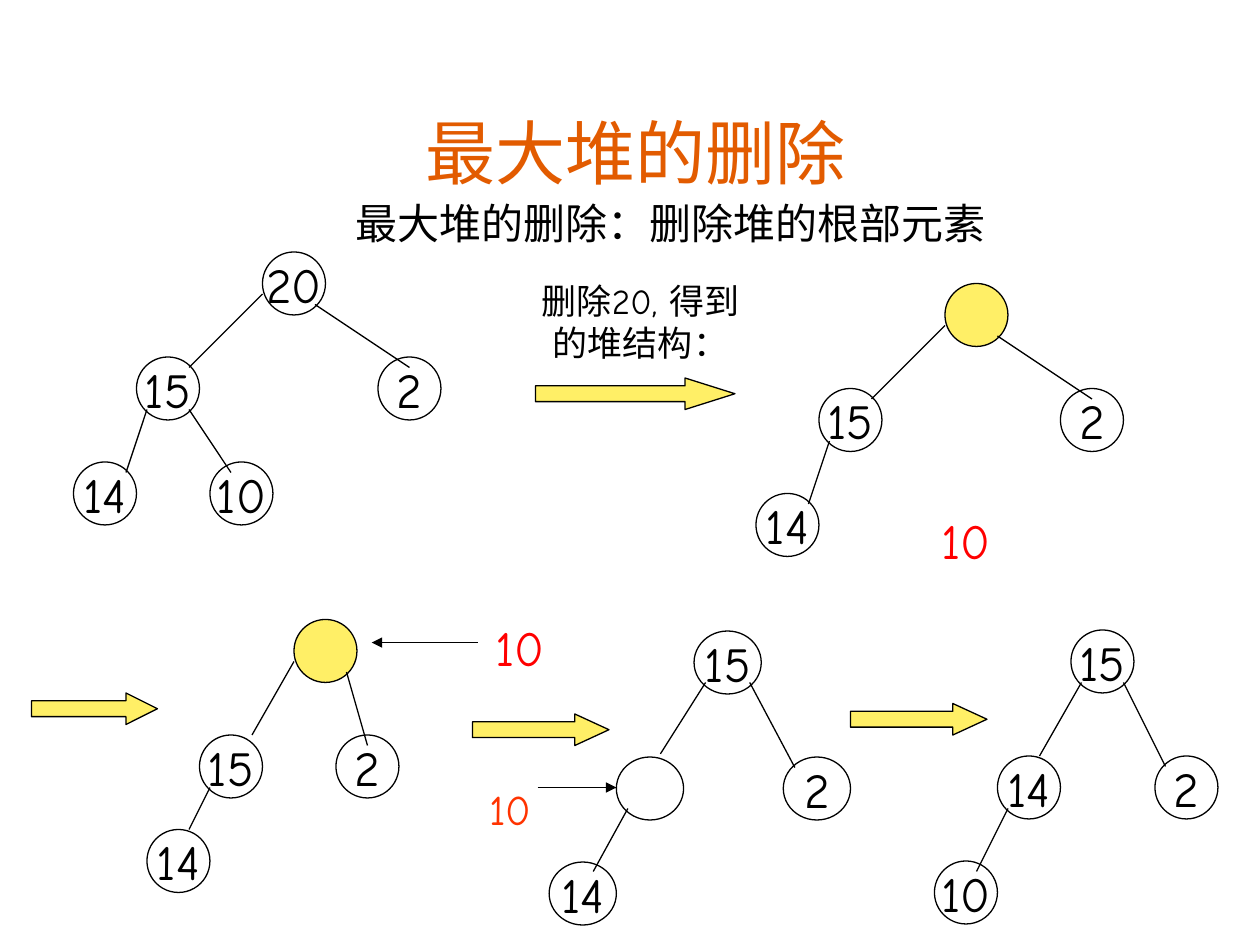
from lxml import etree
from pptx import Presentation, util as u
from pptx.dml.color import RGBColor
from pptx.enum import shapes, text
from pptx.oxml.ns import qn

PX = 914400 // 120
BLACK, GOLD, RED = "000000", "FFEF66", "FF0000"
HAN = "Noto Sans CJK SC"
LATIN = "Comic Neue"

deck = Presentation()
deck.slide_width, deck.slide_height = 1200 * PX, 900 * PX
slide = deck.slides.add_slide(deck.slide_layouts[6])
color = RGBColor.from_string


def write(shape, words, size, ink=BLACK, face=LATIN, wrap=True, anchor="TOP"):
    frame = shape.text_frame
    form = {"word_wrap": wrap, "vertical_anchor": getattr(text.MSO_ANCHOR, anchor)}
    for key, val in form.items():
        setattr(frame, key, val)
    para = frame.paragraphs[0]
    para.alignment = text.PP_ALIGN.CENTER
    run = para.add_run()
    run.text = words
    for key, val in {"name": face, "size": u.Pt(size)}.items():
        setattr(run.font, key, val)
    run.font.color.rgb = color(ink)
    etree.SubElement(run.font._element, qn("a:ea"), typeface=HAN)


def link(home, ends, head=False):
    line = home.add_connector(shapes.MSO_CONNECTOR.STRAIGHT, *[n * PX for n in ends])
    line.line.width = u.Pt(0.75)
    line.line.color.rgb = color(BLACK)
    if head:
        etree.SubElement(line.line._get_or_add_ln(), qn("a:tailEnd"), type="triangle")
    etree.SubElement(line._element.spPr, qn("a:effectLst"))


labels = [
    (90, 90, 1030, 100, "最大堆的删除", 40, "E25B00", HAN, "BOTTOM"),
    (214, 182, 850, 60, "最大堆的删除：删除堆的根部元素", 24, BLACK, LATIN, "TOP"),
    (490, 260, 240, 92, "删除20, 得到的堆结构：", 20, BLACK, LATIN, "TOP"),
    (860, 480, 120, 68, "10", 28, RED, LATIN, "TOP"),
    (455, 582, 80, 68, "10", 28, RED, LATIN, "TOP"),
    (449, 740, 74, 60, "10", 24, "FF3300", LATIN, "TOP"),
]
for *box, words, size, ink, face, anchor in labels:
    label = slide.shapes.add_textbox(*[n * PX for n in box])
    write(label, words, size, ink, face, anchor=anchor)

trees = [
    (60,
     [(250, 240, "20"), (130, 340, "15"), (70, 440, "14"), (200, 440, "10"), (360, 340, "2")],
     [(250, 280, 180, 350), (140, 390, 120, 450), (180, 390, 220, 450), (300, 290, 390, 350)]),
    (60,
     [(900, 270, None), (780, 370, "15"), (720, 470, "14"), (1010, 370, "2")],
     [(900, 310, 830, 380), (790, 420, 770, 480), (950, 320, 1040, 380)]),
    (60,
     [(280, 590, None), (190, 700, "15"), (140, 790, "14"), (320, 700, "2")],
     [(280, 630, 240, 700), (200, 750, 180, 790), (330, 640, 350, 710)]),
    (64,
     [(661, 601, "15"), (587, 721, ""), (523, 821, "14"), (746, 721, "2")],
     [(672, 650, 629, 718), (598, 770, 565, 830), (714, 650, 757, 731)]),
    (60,
     [(1020, 600, "15"), (950, 720, "14"), (890, 820, "10"), (1100, 720, "2")],
     [(1030, 650, 990, 720), (960, 770, 930, 830), (1070, 650, 1110, 730)]),
]
for wide, nodes, edges in trees:
    tree = slide.shapes.add_group_shape().shapes
    for left, top, key in nodes:
        node = tree.add_shape(shapes.MSO_SHAPE.FLOWCHART_CONNECTOR,
                              left * PX, top * PX, wide * PX, 60 * PX)
        node.shadow.inherit = False
        node.line.width = u.Pt(0.75)
        node.line.color.rgb = color(BLACK)
        if key is None:
            node.fill.solid()
            node.fill.fore_color.rgb = color(GOLD)
        else:
            node.fill.background()
        if key:
            write(node, key, 28, wrap=False, anchor="MIDDLE")
    for ends in edges:
        link(tree, ends)

for left, top, wide in [(510, 360, 190), (30, 660, 120), (450, 680, 130), (810, 670, 130)]:
    arrow = slide.shapes.add_shape(shapes.MSO_SHAPE.RIGHT_ARROW,
                                   left * PX, top * PX, wide * PX, 30 * PX)
    arrow.shadow.inherit = False
    arrow.adjustments[1] = wide / 120
    arrow.fill.solid()
    arrow.fill.fore_color.rgb = color(GOLD)
    arrow.line.width = u.Pt(0.75)
    arrow.line.color.rgb = color(BLACK)

for ends in [(455, 612, 354, 612), (512, 750, 587, 750)]:
    link(slide.shapes, ends, head=True)

deck.save("out.pptx")
